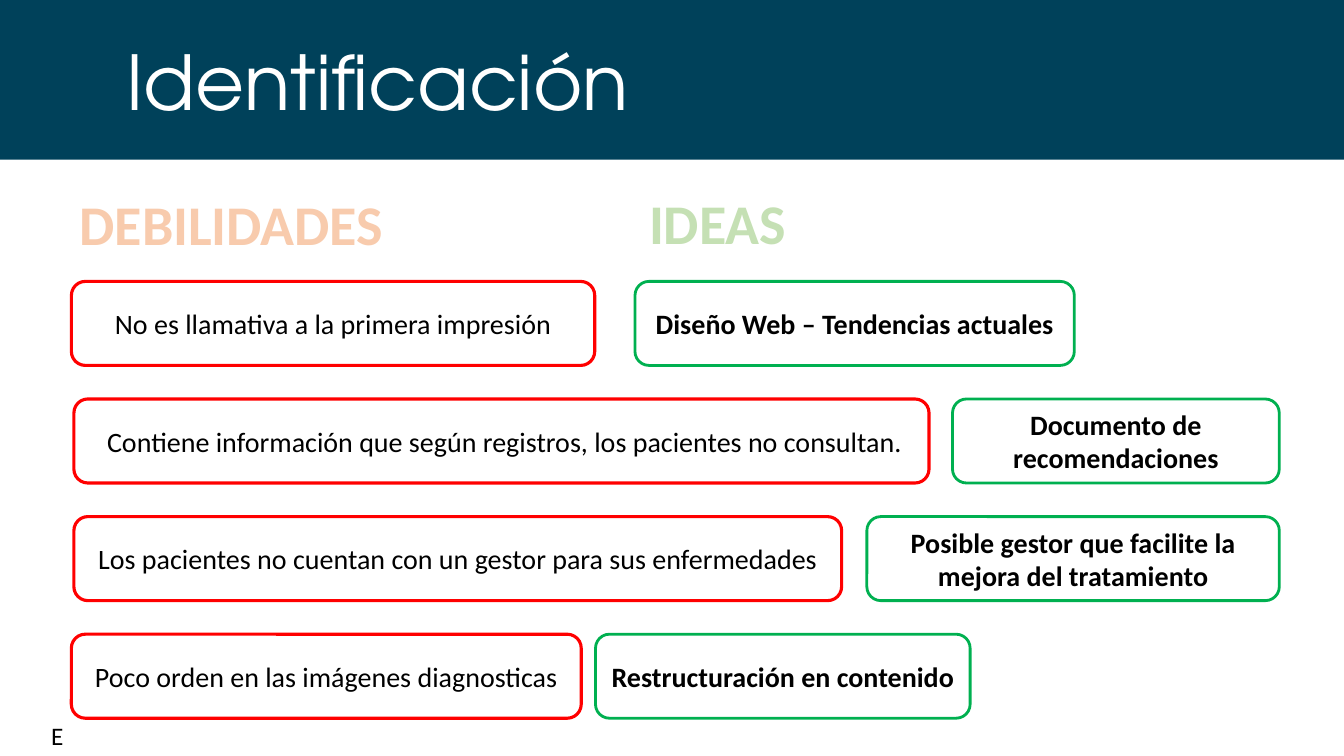
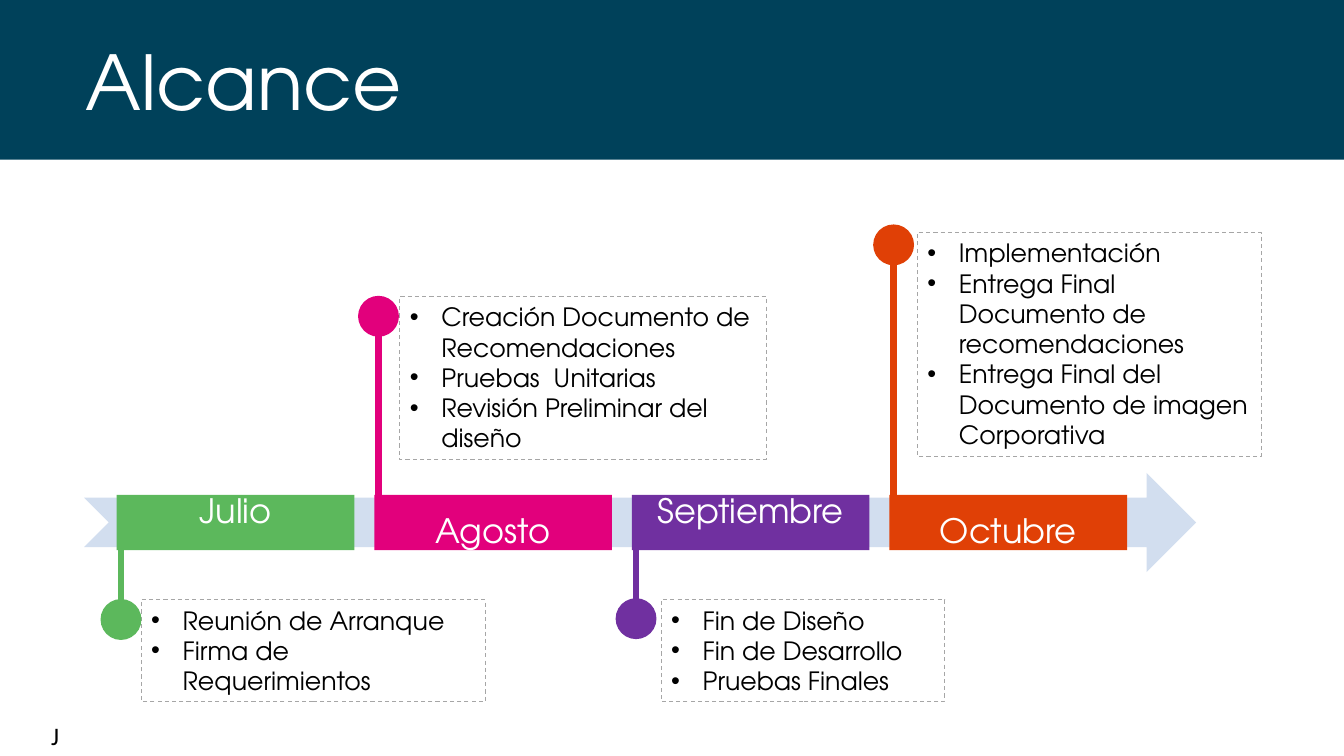
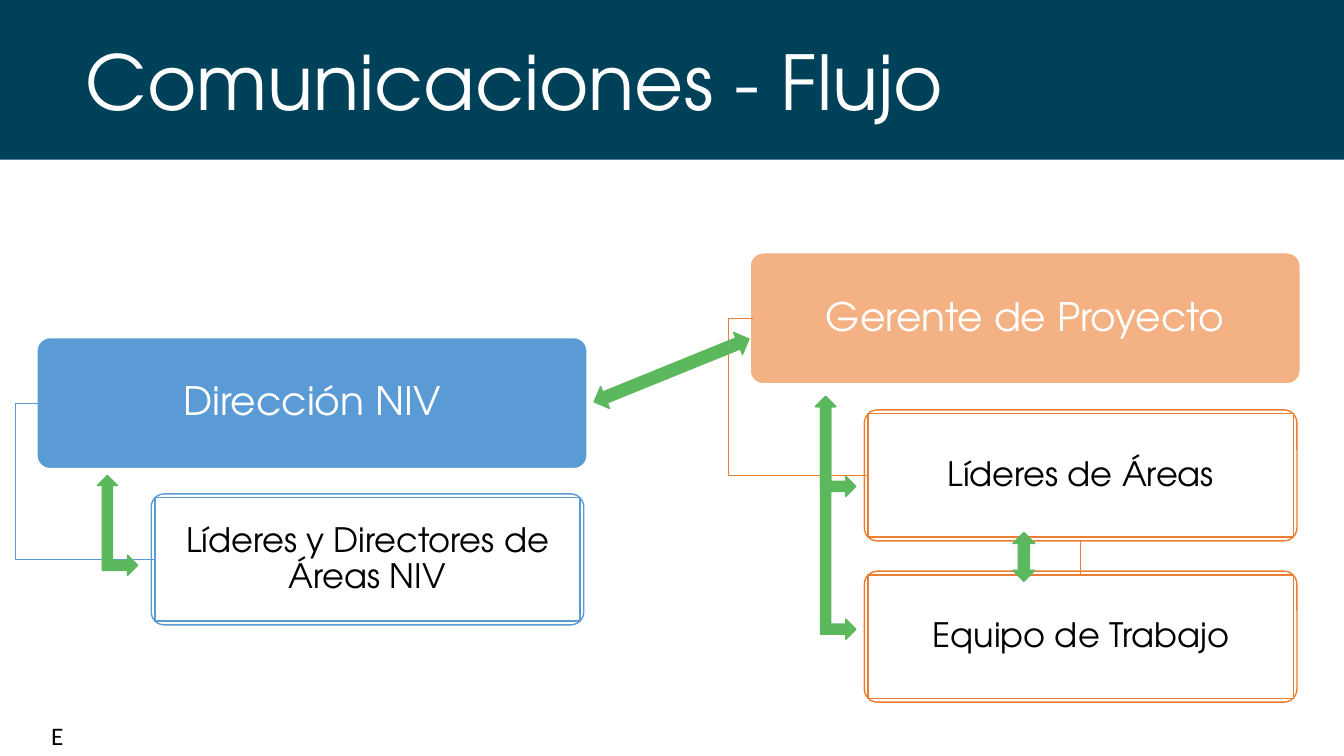
"""Build three project slides: weaknesses and ideas, a timeline and a communication flow."""
from pptx import Presentation
from pptx import util as u
from pptx.dml.color import RGBColor
from pptx.enum import dml, shapes, text
from pptx.oxml import ns
from lxml import etree

NAVY = RGBColor(0x00, 0x41, 0x5A)
WHITE = RGBColor(0xFF, 0xFF, 0xFF)
BLACK = RGBColor(0x00, 0x00, 0x00)
RED = RGBColor(0xFF, 0x00, 0x00)
GREEN = RGBColor(0x00, 0xB0, 0x50)
PEACH = RGBColor(0xF8, 0xCB, 0xAD)
MINT = RGBColor(0xC5, 0xE0, 0xB4)
LEAF = RGBColor(0x5C, 0xB8, 0x5C)
MAGENTA = RGBColor(0xE2, 0x00, 0x7C)
PURPLE = RGBColor(0x70, 0x30, 0xA0)
RUST = RGBColor(0xE0, 0x40, 0x06)
PALE_BLUE = RGBColor(0xD2, 0xDE, 0xEF)
GREY = RGBColor(0xA6, 0xA6, 0xA6)
BLUE = RGBColor(0x5B, 0x9B, 0xD5)
APRICOT = RGBColor(0xF4, 0xB1, 0x83)
ORANGE = RGBColor(0xED, 0x7D, 0x31)

DISPLAY, PLAIN = "TeX Gyre Adventor", "Calibri"
COLUMNS = 80
TITLE_ONLY, FOUR_BODIES = 5, 4
SHAPE, ALIGN, ANCHOR = shapes.MSO_SHAPE, text.PP_ALIGN, text.MSO_ANCHOR


class Deck:
    """Holds the shared style and the current slide; lengths are grid columns and rows."""

    def __init__(self):
        self.prs = Presentation()
        self.prs.slide_width, self.prs.slide_height = u.Emu(12192000), u.Inches(7.5)
        self.cell = self.prs.slide_width / COLUMNS
        self.s = None

    def grid(self, *cells):
        return [u.Emu(round(c * self.cell)) for c in cells]

    def slide(self, title, letter, layout=TITLE_ONLY, left=4.5):
        self.s = self.prs.slides.add_slide(self.prs.slide_layouts[layout])
        band = self.shape(SHAPE.RECTANGLE, (0, 0, COLUMNS, 9.5), NAVY)
        sp = self.s.shapes.title
        sp.element.addprevious(band.element)
        self.place(sp, (left, 1.75, 72, 6.05))
        self.label(sp, [title], 54, WHITE, align=ALIGN.LEFT, anchor=ANCHOR.TOP)
        mark = self.s.shapes.add_textbox(*self.grid(2.45, 42.6, 2.9, 2.4))
        self.label(mark, [letter], 18, font=PLAIN, align=ALIGN.LEFT, anchor=ANCHOR.TOP)

    def place(self, sp, at):
        sp.left, sp.top, sp.width, sp.height = self.grid(*at)

    def shape(self, kind, at, fill=None, line=None, width=1.0):
        sp = self.s.shapes.add_shape(kind, *self.grid(*at))
        sp.shadow.inherit = False
        if fill is None:
            sp.fill.background()
        else:
            sp.fill.solid()
            sp.fill.fore_color.rgb = fill
        if line is None:
            sp.line.fill.background()
        else:
            sp.line.color.rgb = line
            sp.line.width = u.Pt(width)
        return sp

    def label(self, sp, lines, size, color=BLACK, font=DISPLAY, bold=False,
              align=ALIGN.CENTER, anchor=ANCHOR.MIDDLE, spacing=1.0, inset=None):
        tf = sp.text_frame
        tf.text = "\n".join(lines)
        tf.word_wrap = True
        tf.auto_size = text.MSO_AUTO_SIZE.NONE
        tf.vertical_anchor = anchor
        if inset is not None:
            margin, = self.grid(inset)
            tf.margin_left = tf.margin_right = tf.margin_top = tf.margin_bottom = margin
        for p in tf.paragraphs:
            p.alignment, p.line_spacing = align, spacing
            p.space_before = p.space_after = u.Pt(0)
            for r in p.runs:
                r.font.name, r.font.size, r.font.bold = font, u.Pt(size), bold
                r.font.color.rgb = color

    def bullets(self, index, at, items):
        sp = self.s.placeholders[index]
        self.place(sp, at)
        self.label(sp, items, 18, align=ALIGN.LEFT, anchor=ANCHOR.TOP)
        sp.line.color.rgb = GREY
        sp.line.width = u.Pt(0.75)
        sp.line.dash_style = dml.MSO_LINE.DASH
        for p in sp.text_frame.paragraphs:
            pPr = p._p.get_or_add_pPr()
            pPr.set("marL", "285750")
            pPr.set("indent", "-285750")
            etree.SubElement(pPr, ns.qn("a:buFont")).set("typeface", "Arial")
            etree.SubElement(pPr, ns.qn("a:buChar")).set("char", "•")

    def connector(self, ends, color, width, bend=None):
        kind = shapes.MSO_CONNECTOR.STRAIGHT if bend is None else shapes.MSO_CONNECTOR.ELBOW
        cx = self.s.shapes.add_connector(kind, *self.grid(*ends))
        cx.line.color.rgb = color
        cx.line.width = u.Pt(width)
        etree.SubElement(cx.element.spPr, ns.qn("a:effectLst"))
        if bend is not None:
            gd = etree.SubElement(cx.element.find(".//" + ns.qn("a:avLst")), ns.qn("a:gd"))
            gd.set("name", "adj1")
            gd.set("fmla", f"val {round(bend * 100000)}")
        return cx

    def card(self, left, top, width, words, line, weight, fill=None, bold=False):
        sp = self.shape(SHAPE.ROUNDED_RECTANGLE, (left, top, width, 5), fill, line, weight)
        self.label(sp, [words], 20, font=PLAIN, bold=bold)

    def heading(self, left, top, words, color):
        sp = self.shape(SHAPE.ROUNDED_RECTANGLE, (left, top, 31.15, 5))
        self.label(sp, [words], 40, color, PLAIN, True, ALIGN.LEFT)

    def header(self, left, top, words, fill):
        sp = self.shape(SHAPE.ROUNDED_RECTANGLE, (left, top, 32.75, 7.8), fill, WHITE)
        sp.adjustments[0] = 0.1
        self.label(sp, [words], 28, WHITE, spacing=0.9, inset=0.3)

    def node(self, left, top, words, line):
        frame = self.shape(SHAPE.ROUNDED_RECTANGLE, (left, top, 25.75, 7.8), WHITE, line)
        frame.adjustments[0] = 0.1
        inner = self.shape(SHAPE.RECTANGLE, (left + 0.22, top + 0.22, 25.31, 7.36), WHITE, line)
        self.label(inner, [words], 24, spacing=0.9, inset=0.25)
        return frame, inner

    def arrow(self, kind, at, turn=0, flip=False):
        sp = self.shape(kind, at, LEAF, LEAF)
        sp.rotation = turn
        if flip:
            sp.element.spPr.xfrm.set("flipH", "1")


def identification(deck):
    deck.slide("Identificación", "E", left=6.95)
    deck.heading(3.9, 10.8, "DEBILIDADES", PEACH)
    deck.heading(37.8, 10.7, "IDEAS", MINT)
    pairs = [
        (4.25, 31.15, "No es llamativa a la primera impresión",
         37.8, 26.15, "Diseño Web – Tendencias actuales"),
        (4.4, 50.9, " Contiene información que según registros, los pacientes no consultan.",
         56.7, 19.45, "Documento de recomendaciones"),
        (4.4, 45.7, "Los pacientes no cuentan con un gestor para sus enfermedades",
         51.6, 24.55, "Posible gestor que facilite la mejora del tratamiento"),
        (4.25, 30.35, "Poco orden en las imágenes diagnosticas",
         35.45, 22.3, "Restructuración en contenido"),
    ]
    for i, (left, width, weakness, idea_left, idea_width, idea) in enumerate(pairs):
        top = 16.75 + 7 * i
        deck.card(left, top, width, weakness, RED, 2.25)
        deck.card(idea_left, top, idea_width, idea, GREEN, 2, WHITE, True)


def scope(deck):
    deck.slide("Alcance", "J", FOUR_BODIES)
    deck.shape(SHAPE.NOTCHED_RIGHT_ARROW, (5, 28.15, 66.2, 5.9), PALE_BLUE)
    months = [
        ("Julio", LEAF, 35.7, (8.4, 35.7, 20.5, 6.05),
         ["Reunión de Arranque", "Firma de Requerimientos"]),
        ("Agosto", MAGENTA, 17.65, (23.8, 17.65, 21.8, 9.7),
         ["Creación Documento de Recomendaciones", "Pruebas  Unitarias",
          "Revisión Preliminar del diseño"]),
        ("Septiembre", PURPLE, 35.65, (39.35, 35.7, 16.9, 6.05),
         ["Fin de Diseño", "Fin de Desarrollo", "Pruebas Finales"]),
        ("Octubre", RUST, 13.4, (54.6, 13.85, 20.5, 13.3),
         ["Implementación", "Entrega Final Documento de recomendaciones",
          "Entrega Final del Documento de imagen Corporativa"]),
    ]
    bar_top, bar_height, dot = 29.45, 3.3, 2.35
    for i, (month, color, dot_top, at, items) in enumerate(months):
        left = 6.95 + 15.33 * i
        stem = left + 0.25
        below = i % 2 == 0
        edge = bar_top + bar_height if below else bar_top
        bar = deck.shape(SHAPE.RECTANGLE, (left, bar_top, 14.15, bar_height), color)
        deck.label(bar, [month], 24, WHITE, spacing=0.9, inset=1.15,
                   anchor=ANCHOR.BOTTOM if below else ANCHOR.TOP)
        deck.connector((stem, edge, stem, dot_top + dot / 2), color, 4.5)
        deck.shape(SHAPE.OVAL, (stem - dot / 2, dot_top, dot, dot), color, color)
        deck.bullets(i + 1, at, items)


def communications(deck):
    deck.slide("Comunicaciones - Flujo", "E")
    branches = [
        (2.2, 20.1, "Dirección NIV", BLUE, 9, 29.4, "Líderes y Directores de Áreas NIV", BLUE, 0.75),
        (44.65, 15.05, "Gerente de Proyecto", APRICOT, 51.45, 24.4, "Líderes de Áreas", ORANGE, 0.5),
    ]
    for left, top, head, fill, node_left, node_top, words, line, width in branches:
        deck.header(left, top, head, fill)
        leaders, _ = deck.node(node_left, node_top, words, line)
        ends = (left + 0.22, top + 3.9, node_left + 0.22, node_top + 3.9)
        deck.connector(ends, line, width, -0.22)
    _, team = deck.node(51.45, 34, "Equipo de Trabajo", ORANGE)
    cx = deck.connector((64.33, 34.22, 64.33, 32.2), ORANGE, 0.5)
    cx.begin_connect(team, 0)
    cx.end_connect(leaders, 2)
    deck.arrow(SHAPE.LEFT_RIGHT_ARROW, (35, 21.35, 9.95, 1.4), turn=-22.1)
    for left, top, height in [(5.8, 28.3, 5.95), (48.55, 23.6, 5.95), (48.55, 23.6, 14.45)]:
        deck.arrow(SHAPE.LEFT_UP_ARROW, (left, top, 2.4, height), flip=True)
    deck.arrow(SHAPE.UP_DOWN_ARROW, (60.3, 31.7, 1.3, 2.9))


def main():
    deck = Deck()
    identification(deck)
    scope(deck)
    communications(deck)
    deck.prs.save("out.pptx")


if __name__ == "__main__":
    main()
